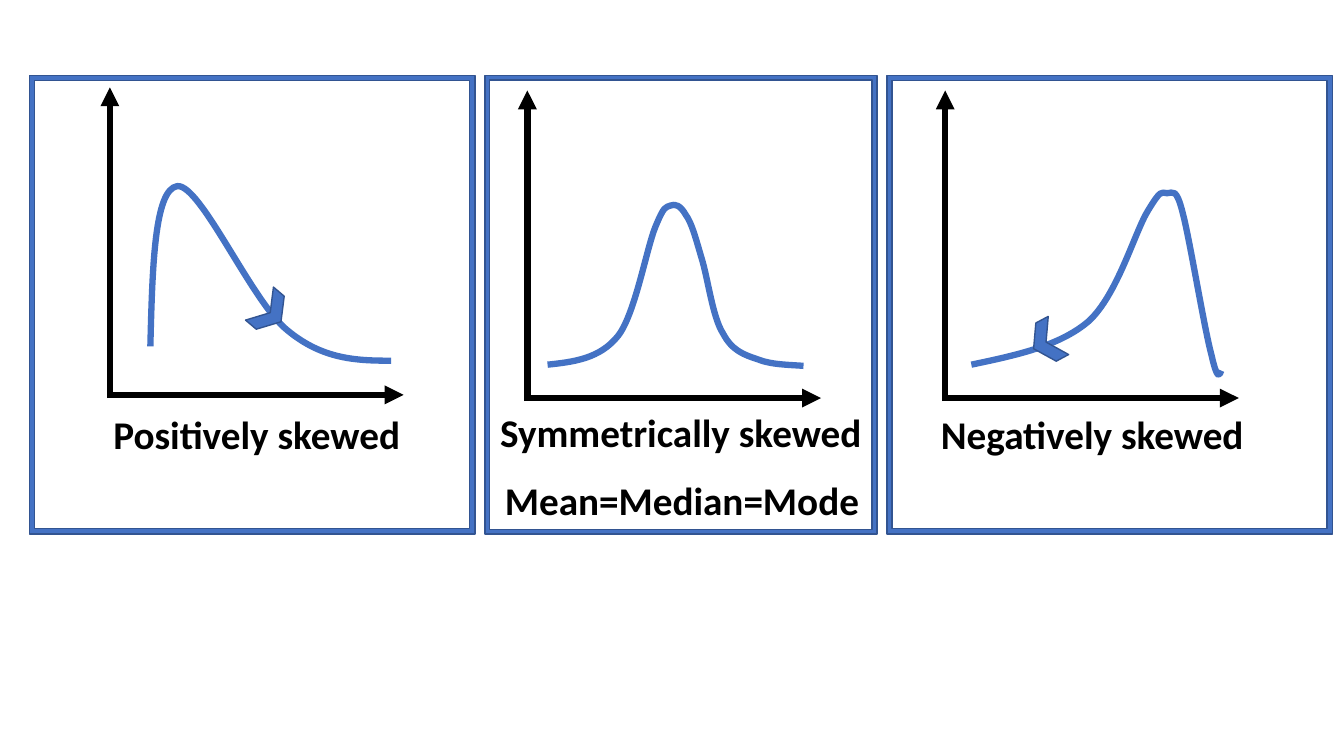
from collections import namedtuple
from dataclasses import dataclass

from lxml import etree
from pptx import Presentation
from pptx.dml.color import RGBColor
from pptx.enum.shapes import MSO_CONNECTOR, MSO_SHAPE
from pptx.enum.text import MSO_AUTO_SIZE, PP_ALIGN
from pptx.oxml.ns import qn
from pptx.util import Cm, Pt

STRAIGHT = MSO_CONNECTOR.STRAIGHT
FRAME = MSO_SHAPE.FRAME
CHEVRON = MSO_SHAPE.CHEVRON
CENTER = PP_ALIGN.CENTER
GROW = MSO_AUTO_SIZE.SHAPE_TO_FIT_TEXT

Box = namedtuple("Box", "left top width height")


@dataclass(frozen=True)
class Theme:
    blue: RGBColor = RGBColor(0x44, 0x72, 0xC4)
    outline: RGBColor = RGBColor(0x32, 0x54, 0x91)
    ink: RGBColor = RGBColor(0, 0, 0)
    font: str = "Calibri"
    label_size: float = 28
    stroke: float = 4.5
    thin: float = 1


@dataclass(frozen=True)
class Distribution:
    width: float
    origin: tuple
    curve: list
    labels: list
    marker: tuple = ()


THEME = Theme()
PANEL_LEFT, PANEL_TOP, PANEL_HEIGHT, PANEL_GAP = 0.74, 1.9, 11.56, 0.25
AXIS_LENGTH, AXIS_OVERLAP = 7.4, 0.08
Y_AXIS_LENGTH = 7.75
LABEL_HEIGHT = 1.45
MARKER_WIDTH, MARKER_HEIGHT = 0.71, 1.09

DISTRIBUTIONS = [
    Distribution(
        11.23, (2.03, 8.05),
        [(1.02, 1.22),
         (1.07, 3.2), (1.12, 5.18), (1.7, 5.26),
         (2.29, 5.31), (3.58, 2.34), (4.47, 1.63),
         (5.36, 0.89), (6.22, 0.86), (7.09, 0.86)],
        [("Positively skewed", 1.73, 8.31, 8)],
        (4.04, 2.07, 40.2)),
    Distribution(
        9.88, (1.07, 8.13),
        [(0.51, 0.84),
         (1.17, 0.91), (1.83, 0.99), (2.29, 1.57),
         (2.72, 2.13), (3, 3.76), (3.23, 4.32),
         (3.45, 4.85), (3.48, 4.8), (3.61, 4.85),
         (3.73, 4.9), (3.86, 4.85), (3.99, 4.62),
         (4.14, 4.42), (4.24, 4.04), (4.39, 3.53),
         (4.55, 3.02), (4.67, 2.03), (4.93, 1.63),
         (5.16, 1.19), (5.46, 1.09), (5.82, 0.97),
         (6.15, 0.84), (6.55, 0.84), (6.96, 0.81)],
        [("Symmetrically skewed", -0.4, 8.26, 10.67),
         ("Mean=Median=Mode", -0.37, 9.98, 10.67)]),
    Distribution(
        11.23, (1.47, 8.13),
        [(0.66, 0.84),
         (1.75, 1.07), (2.87, 1.3), (3.61, 1.93),
         (4.34, 2.59), (4.78, 4.19), (5.11, 4.72),
         (5.44, 5.26), (5.44, 5.18), (5.59, 5.16),
         (5.74, 5.16), (5.82, 5.33), (5.99, 4.65),
         (6.17, 3.96), (6.53, 1.75), (6.71, 1.09),
         (6.86, 0.43), (6.91, 0.56), (6.96, 0.69)],
        [("Negatively skewed", 0.41, 8.31, 9.53)],
        (2.54, 1.41, 151.9)),
]


def add_text(slide, text, box, *, size, color, bold=False, align=CENTER):
    label = slide.shapes.add_textbox(*(Cm(length) for length in box))
    frame = label.text_frame
    frame.word_wrap = True
    frame.auto_size = GROW
    paragraph = frame.paragraphs[0]
    paragraph.alignment = align
    run = paragraph.add_run()
    run.text = text
    run.font.name = THEME.font
    run.font.size = Pt(size)
    run.font.bold = bold
    run.font.color.rgb = color


def add_blue_shape(slide, kind, box):
    shape = slide.shapes.add_shape(kind, *(Cm(length) for length in box))
    shape.shadow.inherit = False
    shape.fill.solid()
    shape.fill.fore_color.rgb = THEME.blue
    shape.line.color.rgb = THEME.outline
    shape.line.width = Pt(THEME.thin)
    return shape


def add_arrow(slide, start, end):
    arrow = slide.shapes.add_connector(
        STRAIGHT, *(Cm(length) for length in (*start, *end)))
    arrow.line.color.rgb = THEME.ink
    arrow.line.width = Pt(THEME.stroke)
    properties = arrow.element.spPr
    etree.SubElement(properties.find(qn("a:ln")), qn("a:tailEnd"), type="triangle")
    etree.SubElement(properties, qn("a:effectLst"))


def add_curve(slide, points):
    start, *rest = [(Cm(x), Cm(y)) for x, y in points]
    builder = slide.shapes.build_freeform(*start)
    builder.add_line_segments(rest, close=False)
    curve = builder.convert_to_shape()
    segments = list(curve.element.iter(qn("a:lnTo")))
    for first in range(0, len(segments), 3):
        bezier = etree.Element(qn("a:cubicBezTo"))
        segments[first].addprevious(bezier)
        for segment in segments[first:first + 3]:
            bezier.append(segment[0])
            segment.getparent().remove(segment)
    curve.shadow.inherit = False
    curve.fill.background()
    curve.line.color.rgb = THEME.blue
    curve.line.width = Pt(THEME.stroke)


def add_panel(slide, box, distribution):
    origin_x = box.left + distribution.origin[0]
    origin_y = box.top + distribution.origin[1]
    add_arrow(slide, (origin_x, origin_y + AXIS_OVERLAP),
              (origin_x, origin_y - Y_AXIS_LENGTH))
    add_arrow(slide, (origin_x, origin_y), (origin_x + AXIS_LENGTH, origin_y))
    add_curve(slide, [(origin_x + x, origin_y - y) for x, y in distribution.curve])
    if distribution.marker:
        x, y, angle = distribution.marker
        marker = add_blue_shape(slide, CHEVRON, Box(
            origin_x + x - MARKER_WIDTH / 2, origin_y - y - MARKER_HEIGHT / 2,
            MARKER_WIDTH, MARKER_HEIGHT))
        marker.rotation = angle
    for text, left, top, width in distribution.labels:
        add_text(slide, text,
                 Box(box.left + left, box.top + top, width, LABEL_HEIGHT),
                 size=THEME.label_size, color=THEME.ink, bold=True)
    border = add_blue_shape(slide, FRAME, box)
    border.adjustments[0] = 0.012


def main():
    presentation = Presentation()
    presentation.slide_width = Cm(33.87)
    presentation.slide_height = Cm(19.05)
    slide = presentation.slides.add_slide(presentation.slide_layouts[6])
    left = PANEL_LEFT
    for distribution in DISTRIBUTIONS:
        add_panel(slide, Box(left, PANEL_TOP, distribution.width, PANEL_HEIGHT),
                  distribution)
        left += distribution.width + PANEL_GAP
    presentation.save("out.pptx")


if __name__ == "__main__":
    main()
